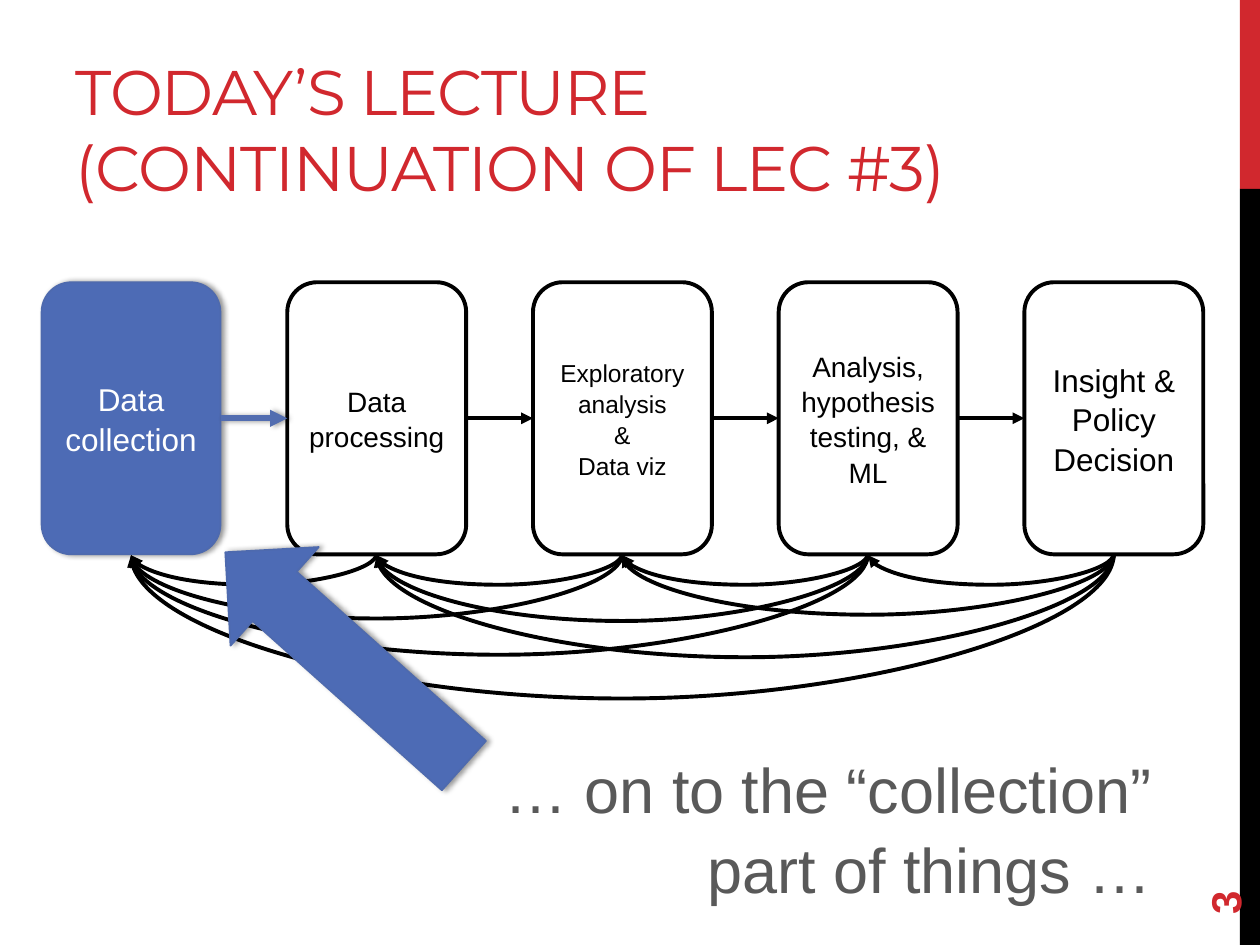
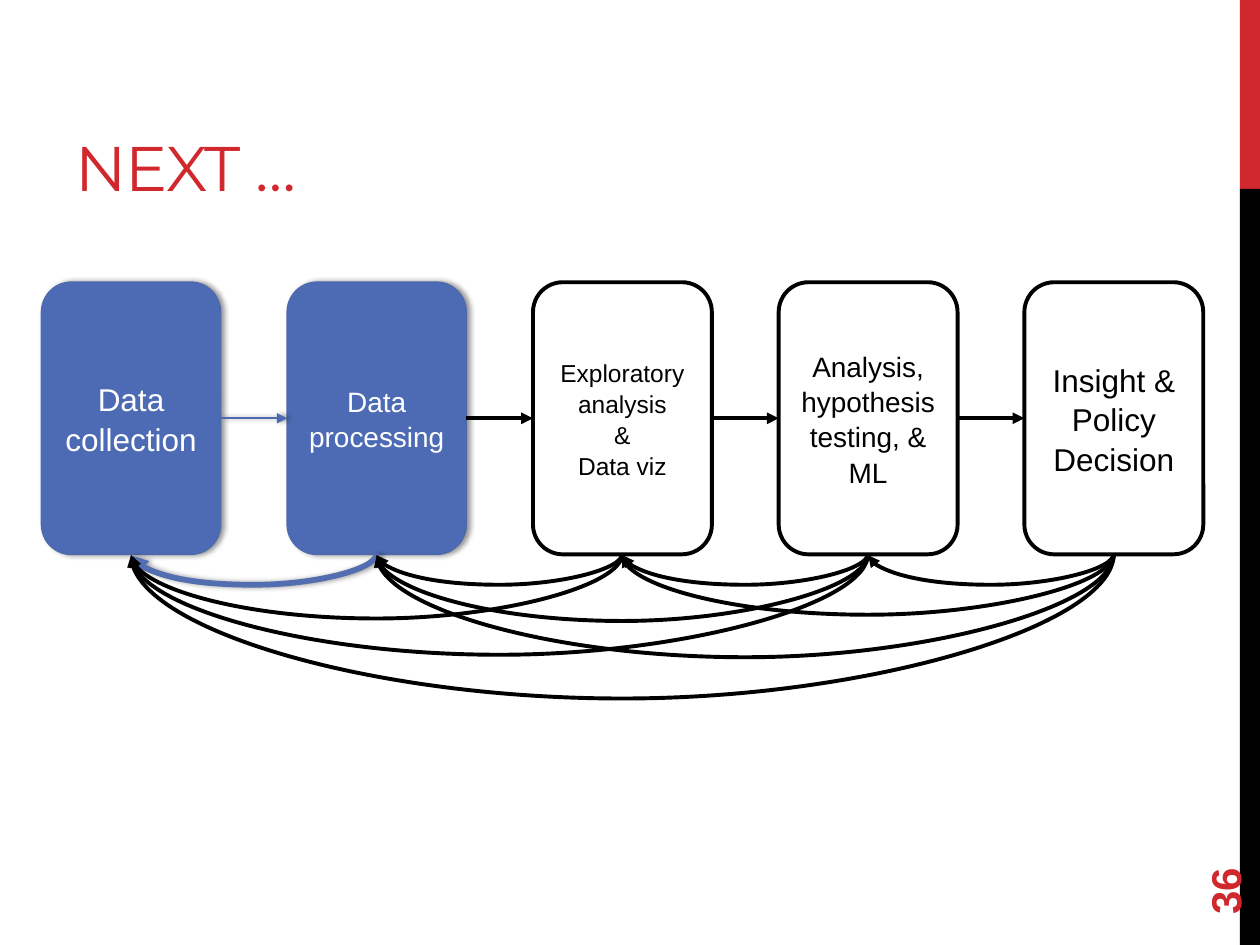
"""Build two lecture slides that show progress through the data pipeline."""
from dataclasses import dataclass

from lxml.etree import SubElement
from pptx import Presentation
from pptx.dml.color import RGBColor
from pptx.enum.shapes import MSO_CONNECTOR as Connector, MSO_SHAPE as Shape
from pptx.enum.text import MSO_ANCHOR as Anchor, MSO_AUTO_SIZE as AutoSize, PP_ALIGN as Align
from pptx.oxml.ns import qn
from pptx.util import Inches, Pt

RED = RGBColor(0xD1, 0x28, 0x2E)
BLACK = RGBColor(0, 0, 0)
WHITE = RGBColor(0xFF, 0xFF, 0xFF)
GRAY = RGBColor(0x59, 0x59, 0x59)
BLUE = RGBColor(0x4D, 0x6B, 0xB5)
EDGE_BLUE = RGBColor(0x4E, 0x6A, 0xAE)
LINK_BLUE = RGBColor(0x52, 0x6D, 0xB0)

BODY_FONT = "Arial"
TITLE_FONT = "Montserrat"
LINE_SPACING = 1.05

STAGES = [
    (["Data collection"], 18),
    (["Data processing"], 16),
    (["Exploratory analysis", "&", "Data viz"], 14),
    (["Analysis, hypothesis testing, & ML"], 16),
    (["Insight & Policy Decision"], 18),
]
STAGE_LEFT, STAGE_TOP, STAGE_PITCH = 0.33, 2.24, 1.95
STAGE_WIDTH, STAGE_HEIGHT = 1.42, 2.16

FEEDBACK_DEPTHS = {
    (1, 0): 0.25,
    (2, 1): 0.25, (2, 0): 0.52,
    (3, 2): 0.25, (3, 1): 0.54, (3, 0): 0.81,
    (4, 3): 0.25, (4, 2): 0.49, (4, 1): 0.83, (4, 0): 1.16,
}


@dataclass
class Stroke:
    """Colour, width in points and shadow of a line."""
    color: RGBColor
    width: float
    raised: bool = False


PLAIN = Stroke(BLACK, 2.25)
EDGE = Stroke(EDGE_BLUE, 1, raised=True)
BOLD = Stroke(LINK_BLUE, 3.25, raised=True)


def set_stroke(shape, stroke):
    """Apply a stroke and either its soft shadow or none."""
    shape.line.color.rgb = stroke.color
    shape.line.width = Pt(stroke.width)
    effects = SubElement(shape.element.spPr, qn("a:effectLst"))
    if stroke.raised:
        shadow = SubElement(effects, qn("a:outerShdw"), blurRad=str(Pt(3.1)),
                            dist=str(Pt(1.8)), dir="0", rotWithShape="0")
        black = SubElement(shadow, qn("a:srgbClr"), val=str(BLACK))
        SubElement(black, qn("a:alpha"), val="40000")


def add_arrowhead(connector):
    """Put a triangle at the end of a connector."""
    SubElement(connector.line._get_or_add_ln(), qn("a:tailEnd"), type="triangle")


def write_lines(frame, lines, size, color, align=Align.LEFT, font=BODY_FONT, bold=False,
                spacing=LINE_SPACING):
    """Fill a text frame with one formatted paragraph per line."""
    frame.word_wrap = True
    for index, line in enumerate(lines):
        paragraph = frame.add_paragraph() if index else frame.paragraphs[0]
        paragraph.alignment = align
        paragraph.line_spacing = spacing
        paragraph.space_before = Pt(0)
        run = paragraph.add_run()
        run.text = line
        run.font.name, run.font.size = font, Pt(size)
        run.font.color.rgb, run.font.bold = color, bold
    return frame


def add_band(slide, top, height, color):
    """Draw one part of the band on the right edge."""
    band = slide.shapes.add_shape(Shape.RECTANGLE, Inches(9.84), Inches(top),
                                  Inches(0.16), Inches(height))
    band.shadow.inherit = False
    band.fill.solid()
    band.fill.fore_color.rgb = color
    band.line.fill.background()


def add_title(slide, text, width):
    """Place and format the slide title."""
    title = slide.shapes.title
    title.left, title.top = Inches(0.5), Inches(0.17)
    title.width, title.height = Inches(width), Inches(1.5)
    frame = write_lines(title.text_frame, [text], 36, RED, font=TITLE_FONT, spacing=1.0)
    frame.vertical_anchor = Anchor.BOTTOM
    frame.auto_size = AutoSize.NONE
    frame.paragraphs[0].runs[0].font._element.set("spc", "-60")


def add_page_number(slide, number):
    """Write the page number upwards beside the band."""
    page = slide.shapes.add_textbox(Inches(9), Inches(6.44), Inches(1.44), Inches(0.4))
    page.rotation = 270
    frame = write_lines(page.text_frame, [number], 24, RED, bold=True, spacing=1.0)
    frame.vertical_anchor = Anchor.MIDDLE


def add_lecture_slide(deck, title, title_width, number):
    """Add a slide with bands, title and page number."""
    slide = deck.slides.add_slide(deck.slide_layouts[5])
    add_band(slide, 0, 1.5, RED)
    add_band(slide, 1.5, 6, BLACK)
    add_title(slide, title, title_width)
    add_page_number(slide, number)
    return slide


def add_stage(slide, index, reached):
    """Draw one stage of the pipeline, blue once reached."""
    lines, size = STAGES[index]
    stage = slide.shapes.add_shape(
        Shape.ROUNDED_RECTANGLE, Inches(STAGE_LEFT + index * STAGE_PITCH),
        Inches(STAGE_TOP), Inches(STAGE_WIDTH), Inches(STAGE_HEIGHT))
    stage.fill.solid()
    stage.fill.fore_color.rgb = BLUE if reached else WHITE
    set_stroke(stage, EDGE if reached else PLAIN)
    frame = write_lines(stage.text_frame, lines, size, WHITE if reached else BLACK, Align.CENTER)
    frame.vertical_anchor = Anchor.MIDDLE
    return stage


def add_link(slide, source, target, stroke):
    """Join two neighbouring stages with a straight arrow."""
    link = slide.shapes.add_connector(Connector.STRAIGHT, 0, 0, 0, 0)
    link.begin_connect(source, 3)
    link.end_connect(target, 1)
    set_stroke(link, stroke)
    add_arrowhead(link)


def add_feedback(slide, source, target, depth, stroke):
    """Curve an arrow below the stages, back to an earlier one."""
    span = Inches((source - target) * STAGE_PITCH)
    thickness = Pt(1)
    middle = Inches(STAGE_LEFT + STAGE_WIDTH / 2 + (source + target) / 2 * STAGE_PITCH)
    left = middle - thickness // 2
    top = Inches(STAGE_TOP + STAGE_HEIGHT) - span // 2
    arc = slide.shapes.add_connector(Connector.CURVE, left, top, left + thickness, top + span)
    properties = arc.element.spPr
    properties.find(qn("a:xfrm")).set("rot", "5400000")
    bend = round(Inches(depth) / thickness * 100000)
    SubElement(properties.find(".//" + qn("a:avLst")), qn("a:gd"),
               name="adj1", fmla=f"val {bend}")
    set_stroke(arc, stroke)
    add_arrowhead(arc)


def add_pipeline(slide, reached_count, first_link, first_feedback):
    """Draw all stages, their links and the feedback arrows."""
    stages = [add_stage(slide, index, index < reached_count) for index in range(len(STAGES))]
    for index, (source, target) in enumerate(zip(stages, stages[1:])):
        add_link(slide, source, target, PLAIN if index else first_link)
    for (source, target), depth in FEEDBACK_DEPTHS.items():
        stroke = first_feedback if source == 1 else PLAIN
        add_feedback(slide, source, target, depth, stroke)


def add_pointer(slide):
    """Point a large arrow at the collection stage."""
    pointer = slide.shapes.add_shape(Shape.DOWN_ARROW, Inches(2.21), Inches(3.96),
                                     Inches(1.05), Inches(2.54))
    pointer.rotation = 131.8
    pointer.fill.solid()
    pointer.fill.fore_color.rgb = BLUE
    set_stroke(pointer, EDGE)


def add_caption(slide, text):
    """Write the large remark at the lower right."""
    caption = slide.shapes.add_textbox(Inches(3.57), Inches(5.88), Inches(5.67), Inches(1.31))
    frame = write_lines(caption.text_frame, [text], 36, GRAY, Align.RIGHT)
    frame.auto_size = AutoSize.SHAPE_TO_FIT_TEXT


def main():
    """Build and save the deck."""
    deck = Presentation()
    deck.slide_width, deck.slide_height = Inches(10), Inches(7.5)

    today = add_lecture_slide(deck, "TODAY’S LECTURE (CONTINUATION OF LEC #3)", 8.06, "3")
    add_pipeline(today, 1, BOLD, PLAIN)
    add_pointer(today)
    add_caption(today, "… on to the “collection” part of things …")

    upcoming = add_lecture_slide(deck, "NEXT …", 6.33, "36")
    add_pipeline(upcoming, 2, EDGE, BOLD)

    deck.save("out.pptx")


if __name__ == "__main__":
    main()
